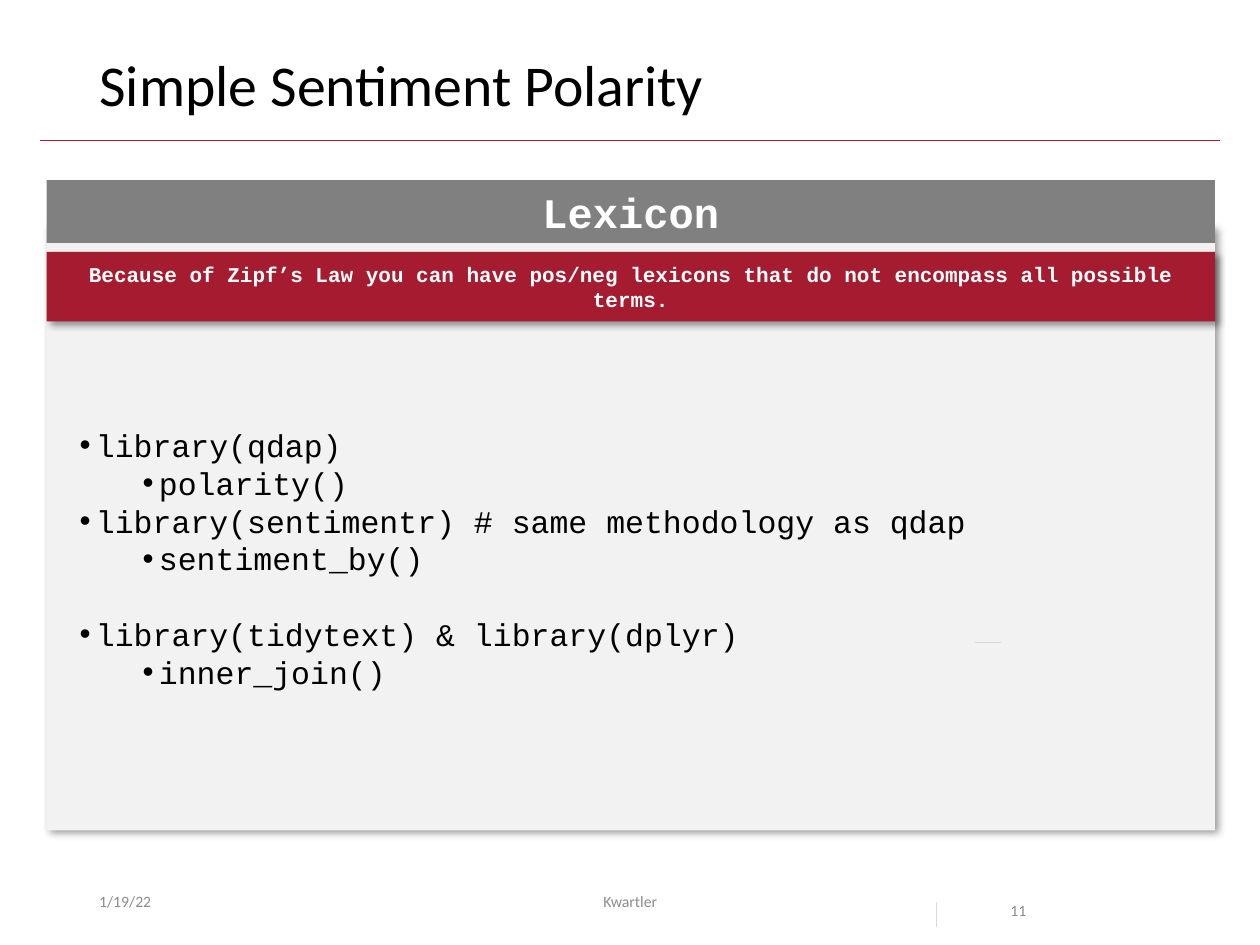
from lxml.etree import SubElement
from pptx import Presentation
from pptx.dml.color import RGBColor
from pptx.enum.shapes import MSO_CONNECTOR, MSO_SHAPE
from pptx.enum.text import MSO_ANCHOR, MSO_AUTO_SIZE, PP_ALIGN
from pptx.oxml.ns import qn
from pptx.util import Cm, Pt

CRIMSON = "A51C30"
PALE_GREY = "D9D9D9"
PANEL_LEFT, PANEL_WIDTH = 0.94, 23.55
MARGIN = 1.75

BULLETS = [
    (0, "library(qdap)", 0),
    (1, "polarity()", 0),
    (0, "library(sentimentr) # same methodology as qdap", 0),
    (1, "sentiment_by()", 0),
    (0, "library(tidytext) & library(dplyr)", 21.6),
    (1, "inner_join()", 0),
]


def color(value):
    return RGBColor.from_string(value)


def place(shape, left, top, width, height):
    shape.left, shape.top = Cm(left), Cm(top)
    shape.width, shape.height = Cm(width), Cm(height)


def add_span(para, text, size, font, ink, bold=False):
    span = para.add_run()
    span.text = text
    span.font.size = Pt(size)
    span.font.name = font
    span.font.bold = bold
    span.font.color.rgb = color(ink)


def prepare_frame(shape, anchor):
    frame = shape.text_frame
    frame.word_wrap = True
    frame.auto_size = MSO_AUTO_SIZE.NONE
    frame.vertical_anchor = anchor
    return frame


def add_shadow(shape):
    effects = shape._element.spPr.find(qn("a:effectLst"))
    shadow = SubElement(effects, qn("a:outerShdw"), blurRad=str(Pt(4)),
                        dist=str(Pt(3)), dir="2700000", algn="tl", rotWithShape="0")
    tint = SubElement(shadow, qn("a:srgbClr"), val="000000")
    SubElement(tint, qn("a:alpha"), val="40000")


def add_panel(page, top, height, fill, text="", size=12, shadowed=False):
    panel = page.shapes.add_shape(MSO_SHAPE.RECTANGLE, Cm(PANEL_LEFT), Cm(top),
                                  Cm(PANEL_WIDTH), Cm(height))
    panel.fill.solid()
    panel.fill.fore_color.rgb = color(fill)
    panel.line.fill.background()
    panel.shadow.inherit = False
    if shadowed:
        add_shadow(panel)
    if text:
        para = prepare_frame(panel, MSO_ANCHOR.MIDDLE).paragraphs[0]
        para.alignment = PP_ALIGN.CENTER
        add_span(para, text, size, "Courier New", "FFFFFF", True)


def add_line(page, x1, y1, x2, y2, ink):
    line = page.shapes.add_connector(MSO_CONNECTOR.STRAIGHT, Cm(x1), Cm(y1), Cm(x2), Cm(y2))
    line.line.color.rgb = color(ink)
    line.line.width = Pt(0.5)
    SubElement(line._element.spPr, qn("a:effectLst"))


def add_footer(page, text, left, width, align=PP_ALIGN.LEFT,
               anchor=MSO_ANCHOR.MIDDLE, spacing=1.0):
    box = page.shapes.add_textbox(Cm(left), Cm(17.65), Cm(width), Cm(1.02))
    para = prepare_frame(box, anchor).paragraphs[0]
    para.alignment = align
    para.line_spacing = spacing
    add_span(para, text, 9, "Calibri", "8C8C8C")


def fill_title(title, text):
    place(title, MARGIN, 1.02, 21.89, 1.65)
    para = prepare_frame(title, MSO_ANCHOR.TOP).paragraphs[0]
    para.alignment = PP_ALIGN.LEFT
    para.line_spacing = 0.9
    add_span(para, text, 33, "Calibri", "000000")


def fill_list(body):
    place(body, 1.35, 8.46, 21.89, 5.64)
    frame = prepare_frame(body, MSO_ANCHOR.TOP)
    for index, (level, text, gap) in enumerate(BULLETS):
        para = frame.add_paragraph() if index else frame.paragraphs[0]
        para.level = level
        para.line_spacing = Pt(21.6)
        para.space_before = Pt(gap)
        props = para._p.get_or_add_pPr()
        props.set("marL", str(Cm(0.33 + 1.27 * level)))
        props.set("indent", str(-Cm(0.33)))
        SubElement(props, qn("a:buFont"), typeface="Arial")
        SubElement(props, qn("a:buChar"), char="•")
        add_span(para, text, 18, "Courier New", "000000")


def main():
    deck = Presentation()
    deck.slide_width, deck.slide_height = Cm(25.4), Cm(19.05)
    page = deck.slides.add_slide(deck.slide_layouts[1])
    body = page.placeholders[1]

    add_line(page, 0.81, 2.84, 24.59, 2.84, CRIMSON)
    fill_title(page.shapes.title, "Simple Sentiment Polarity")
    add_footer(page, "1/19/22", MARGIN, 5.72)
    add_footer(page, "Kwartler", 8.41, 8.59, PP_ALIGN.CENTER)
    add_footer(page, "11", 20.12, 2.39, anchor=MSO_ANCHOR.TOP, spacing=2.0)

    add_panel(page, 4.55, 12.19, "F2F2F2", shadowed=True)
    add_panel(page, 3.63, 1.27, "808080", "Lexicon", 24)
    fill_list(body)
    page.shapes._spTree.append(body._element)
    add_panel(page, 5.08, 1.4, CRIMSON,
              "Because of Zipf’s Law you can have pos/neg lexicons "
              "that do not encompass all possible terms.", shadowed=True)

    add_line(page, 18.87, 18.19, 18.87, 18.69, PALE_GREY)
    add_line(page, 19.66, 12.95, 20.17, 12.95, PALE_GREY)
    deck.save("out.pptx")


if __name__ == "__main__":
    main()
